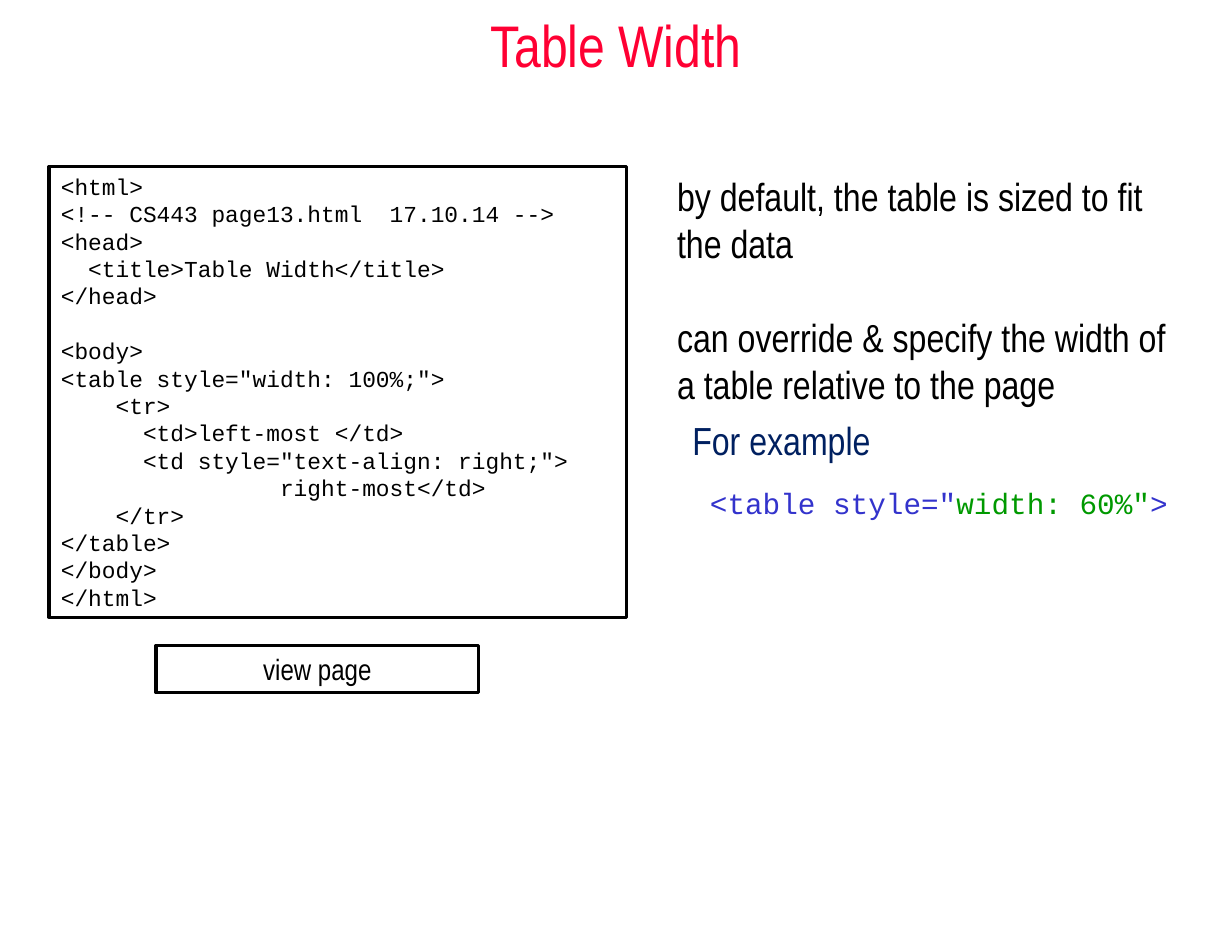
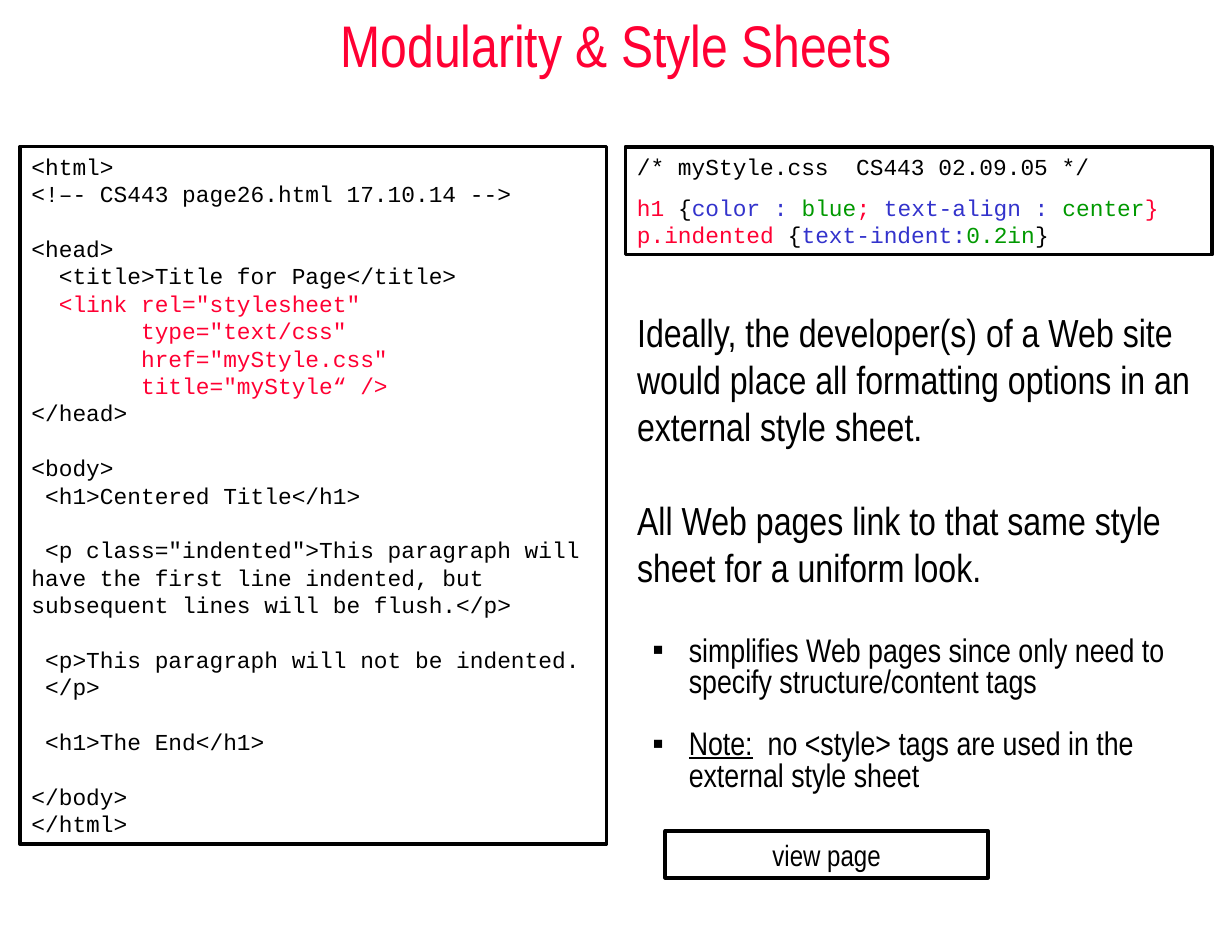
import lxml.etree
import pptx
import pptx.dml.color
import pptx.enum.shapes
import pptx.enum.text
import pptx.oxml.ns
import pptx.util
from pptx.util import Inches

# Shared style
RED = pptx.dml.color.RGBColor(0xFF, 0x00, 0x33)
BLUE = pptx.dml.color.RGBColor(0x33, 0x33, 0xCC)
NAVY = pptx.dml.color.RGBColor(0x00, 0x20, 0x60)
GREEN = pptx.dml.color.RGBColor(0x00, 0x99, 0x00)
BLACK = pptx.dml.color.RGBColor(0x00, 0x00, 0x00)
TEXT_FONT = "Arial Narrow"
CODE_FONT = "Courier New"
CODE_SIZE = 14
LINE_PITCH = 1.2  # line height as a multiple of the font size
TIGHT = 0.8  # line spacing of second-level text
LEFT = pptx.enum.text.PP_ALIGN.LEFT
CENTER = pptx.enum.text.PP_ALIGN.CENTER
TOP = pptx.enum.text.MSO_ANCHOR.TOP
MIDDLE = pptx.enum.text.MSO_ANCHOR.MIDDLE

TABLE_PAGE = """<html>
<!-- CS443 page13.html  17.10.14 -->
<head>
  <title>Table Width</title>
</head>

<body>
<table style="width: 100%;">
    <tr>
      <td>left-most </td>
      <td style="text-align: right;">
                right-most</td>
    </tr>
</table>
</body>
</html>""".splitlines()

PAGE_START = """<html>
<!–- CS443 page26.html 17.10.14 -->

<head>
  <title>Title for Page</title>""".splitlines()

STYLE_LINK = """  <link rel="stylesheet"
        type="text/css"
        href="myStyle.css"
        title="myStyle“ />""".splitlines()

PAGE_END = """</head>

<body>
 <h1>Centered Title</h1>

 <p class="indented">This paragraph will have the first line indented, but subsequent lines will be flush.</p>

 <p>This paragraph will not be indented.
 </p>

 <h1>The End</h1>

</body>
</html>""".splitlines()


def line_height(size, spacing=1):
    return round(size * LINE_PITCH * spacing, 1)


def set_bullet(properties, bullet):
    """Give the paragraph a black bullet character, or none."""
    def add(parent, tag, **attributes):
        return lxml.etree.SubElement(parent, pptx.oxml.ns.qn(tag), **attributes)

    if bullet:
        add(add(properties, "a:buClr"), "a:srgbClr", val=str(BLACK))
        add(properties, "a:buFont", typeface="Arial")
        add(properties, "a:buChar", char=bullet)
    else:
        add(properties, "a:buNone")


def write_text(frame, text, *, size=24, font=TEXT_FONT, color=BLACK, align=LEFT,
               before=0, spacing=1, level=0, bullet=None):
    """Write one paragraph; text is a string or a list of (text, color, underline)."""
    paragraph = frame.paragraphs[0]
    if paragraph.runs:
        paragraph = frame.add_paragraph()
    properties = paragraph._p.get_or_add_pPr()
    properties.set("marL", str(Inches(0.44 * level)))
    properties.set("indent", str(Inches(-0.31 * level)))
    set_bullet(properties, bullet)
    paragraph.level = level
    paragraph.alignment = align
    paragraph.line_spacing = pptx.util.Pt(line_height(size, spacing))
    paragraph.space_before = pptx.util.Pt(before)
    paragraph.space_after = pptx.util.Pt(0)
    pieces = [(text, color, False)] if isinstance(text, str) else text
    for words, piece_color, underline in pieces:
        run = paragraph.add_run()
        run.text = words
        run.font.name = font
        run.font.size = pptx.util.Pt(size)
        run.font.color.rgb = piece_color
        if underline:
            run.font.underline = True


def prepare_frame(shape, left, top, width, height, anchor=TOP):
    shape.left, shape.top = Inches(left), Inches(top)
    shape.width, shape.height = Inches(width), Inches(height)
    frame = shape.text_frame
    frame.word_wrap = True
    frame.auto_size = pptx.enum.text.MSO_AUTO_SIZE.NONE
    frame.vertical_anchor = anchor
    frame.margin_left = frame.margin_right = Inches(0.1)
    frame.margin_top = frame.margin_bottom = Inches(0.05)
    return frame


def add_slide(presentation, title, body_place):
    """Add a titled slide and return it with its body text frame."""
    slide = presentation.slides.add_slide(presentation.slide_layouts[1])
    title_frame = prepare_frame(slide.shapes.title, 0, 0, 10.5, 0.75, MIDDLE)
    write_text(title_frame, title, size=36, color=RED, align=CENTER)
    return slide, prepare_frame(slide.placeholders[1], *body_place)


def add_box(slide, left, top, width, height):
    """Add an unfilled, black-framed box and return its text frame."""
    box = slide.shapes.add_shape(pptx.enum.shapes.MSO_SHAPE.RECTANGLE, 0, 0, 0, 0)
    box.shadow.inherit = False
    box.fill.background()
    box.line.color.rgb = BLACK
    box.line.width = pptx.util.Pt(2.25)
    return prepare_frame(box, left, top, width, height)


def write_code(frame, lines, color=BLACK):
    """Write code lines; an empty line becomes space before the next one."""
    before = 0
    for line in lines:
        if line:
            write_text(frame, line, size=CODE_SIZE, font=CODE_FONT, color=color, before=before)
            before = 0
        else:
            before += line_height(CODE_SIZE)


def add_view_button(slide, left, top):
    write_text(add_box(slide, left, top, 2.75, 0.4), "view page", size=18, align=CENTER)


def build_table_width(presentation):
    slide, body = add_slide(presentation, "Table Width", (5.67, 1.42, 4.42, 4.75))
    write_text(body, "by default, the table is sized to fit the data")
    write_text(body, "can override & specify the width of a table relative to the page",
               before=line_height(24))
    write_text(body, "For example", color=NAVY, level=1, spacing=TIGHT,
               before=line_height(12, TIGHT))
    write_text(body, [(' <table style="', BLUE, False), ('width: 60%"', GREEN, False),
                      (">", BLUE, False)],
               size=18, font=CODE_FONT, level=1, spacing=TIGHT,
               before=line_height(18, TIGHT))
    write_code(add_box(slide, 0.42, 1.42, 4.92, 3.84), TABLE_PAGE)
    add_view_button(slide, 1.33, 5.5)


def build_style_sheets(presentation):
    slide, body = add_slide(presentation, "Modularity & Style Sheets",
                            (5.33, 2.58, 4.92, 4.08))
    write_text(body, "Ideally, the developer(s) of a Web site would place all "
                     "formatting options in an external style sheet.")
    write_text(body, "All Web pages link to that same style sheet for a uniform look.",
               before=line_height(24))
    points = [
        ("simplifies Web pages since only need to specify structure/content tags",
         line_height(24)),
        ([("Note:", BLACK, True),
          ("  no <style> tags are used in the external style sheet", BLACK, False)],
         line_height(20, TIGHT)),
    ]
    for text, before in points:
        write_text(body, text, size=20, level=1, bullet="▪", spacing=TIGHT, before=before)

    # HTML page with its style sheet link in red
    page = add_box(slide, 0.17, 1.25, 5, 5.94)
    write_code(page, PAGE_START)
    write_code(page, STYLE_LINK, RED)
    write_code(page, PAGE_END)

    # Style sheet
    sheet = add_box(slide, 5.33, 1.25, 5, 0.92)
    write_code(sheet, ["/* myStyle.css  CS443 02.09.05 */"])
    heading_rule = [("h1", RED), (" {", BLACK), ("color : ", BLUE), ("blue", GREEN),
                    ("; ", RED), ("text-align : ", BLUE), ("center", GREEN), ("}", RED)]
    indent_rule = [("p.indented", RED), (" {", BLACK), ("text-indent:", BLUE),
                   ("0.2in", GREEN), ("}", BLACK)]
    for rule, before in ((heading_rule, line_height(7)), (indent_rule, 0)):
        write_text(sheet, [(words, color, False) for words, color in rule],
                   size=CODE_SIZE, font=CODE_FONT, before=before)
    add_view_button(slide, 5.67, 7.08)


def main():
    presentation = pptx.Presentation()
    presentation.slide_width = Inches(10.5)
    presentation.slide_height = Inches(8)
    build_table_width(presentation)
    build_style_sheets(presentation)
    presentation.save("out.pptx")


if __name__ == "__main__":
    main()
